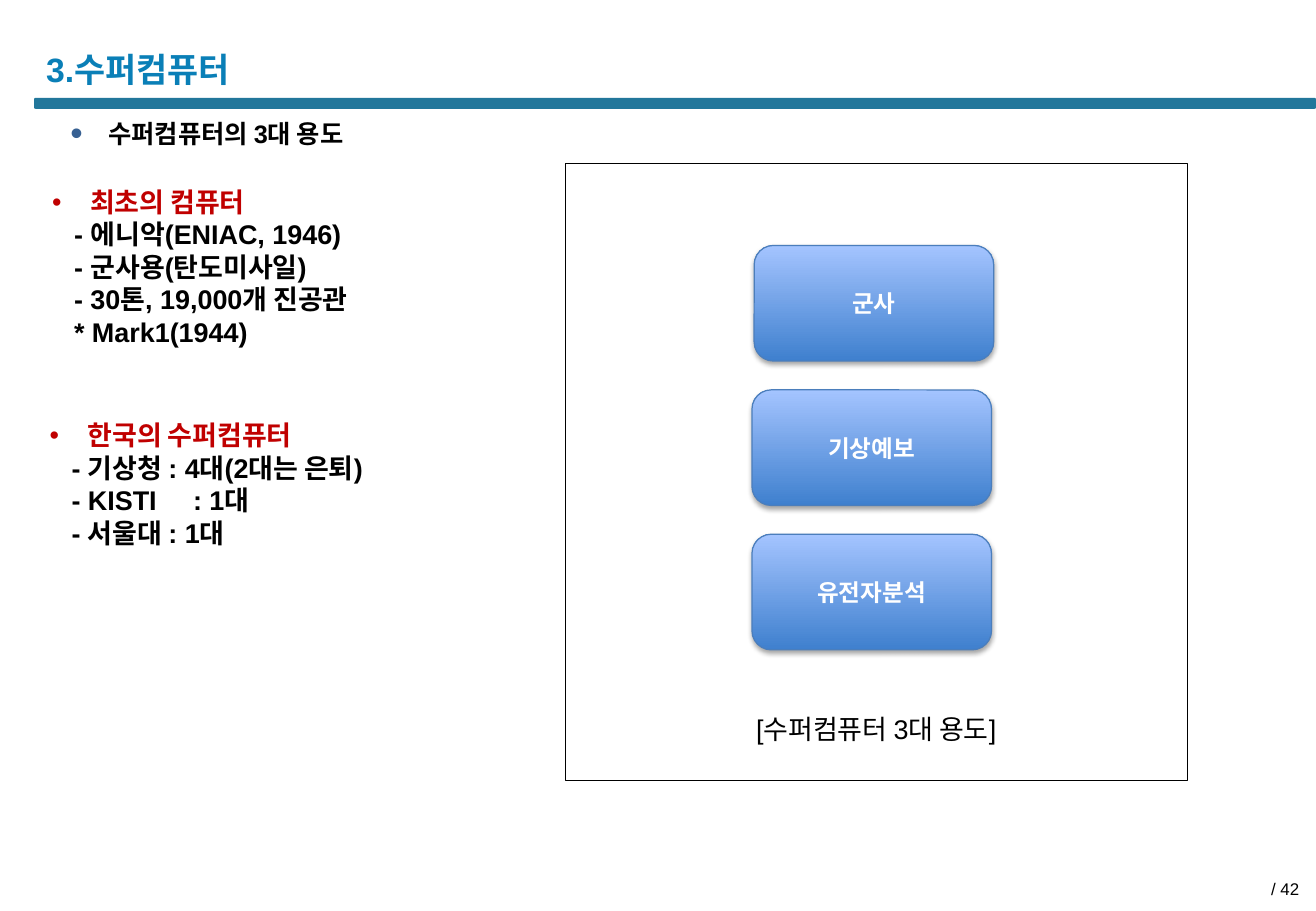
from dataclasses import dataclass

from lxml.etree import SubElement
from pptx import Presentation
from pptx.dml.color import RGBColor
from pptx.enum.shapes import MSO_SHAPE
from pptx.enum.text import MSO_ANCHOR, PP_ALIGN
from pptx.oxml.ns import qn
from pptx.util import Pt

FONT = "Arial"
BLACK, WHITE, RED = "000000", "FFFFFF", "C00000"
HANGING = 22.5
DETAIL_INDENT = 13
COLON_TAB = 77


@dataclass
class Area:
    left: float
    top: float
    width: float
    height: float

    def lengths(self) -> list:
        return [Pt(n) for n in (self.left, self.top, self.width, self.height)]


@dataclass
class Style:
    size: float
    color: str = BLACK
    bold: bool = False
    align: PP_ALIGN = PP_ALIGN.LEFT


@dataclass
class Topic:
    area: Area
    heading: str
    details: list[str]


@dataclass
class Use:
    name: str
    left: float


def rgb(color: str) -> RGBColor:
    return RGBColor.from_string(color)


def write(para, text: str, style: Style) -> None:
    para.alignment = style.align
    span = para.add_run()
    span.text = text
    span.font.name = FONT
    span.font.size = Pt(style.size)
    span.font.bold = style.bold
    span.font.color.rgb = rgb(style.color)


def set_frame(shape, anchor: MSO_ANCHOR, sides: float = 7.2, ends: float = 0):
    frame = shape.text_frame
    frame.word_wrap = True
    frame.vertical_anchor = anchor
    frame.margin_left = frame.margin_right = Pt(sides)
    frame.margin_top = frame.margin_bottom = Pt(ends)
    return frame


def add_text_box(page, area: Area, anchor=MSO_ANCHOR.TOP, sides=7.2, ends=3.6):
    return set_frame(page.shapes.add_textbox(*area.lengths()), anchor, sides, ends)


def add_plain_shape(page, kind: MSO_SHAPE, area: Area):
    shape = page.shapes.add_shape(kind, *area.lengths())
    shape.shadow.inherit = False
    return shape


def add_bullet(para, color: str, percent: int = 100) -> None:
    props = para._p.get_or_add_pPr()
    props.set("marL", str(Pt(HANGING)))
    props.set("indent", str(-Pt(HANGING)))
    SubElement(SubElement(props, qn("a:buClr")), qn("a:srgbClr"), val=color)
    SubElement(props, qn("a:buSzPct"), val=str(percent * 1000))
    SubElement(props, qn("a:buFont"), typeface=FONT)
    SubElement(props, qn("a:buChar"), char="•")


def indent_detail(para) -> None:
    props = para._p.get_or_add_pPr()
    props.set("marL", str(Pt(DETAIL_INDENT)))
    props.set("indent", "0")
    tabs = SubElement(props, qn("a:tabLst"))
    SubElement(tabs, qn("a:tab"), pos=str(Pt(COLON_TAB)), algn="l")


def add_topic(page, topic: Topic) -> None:
    frame = add_text_box(page, topic.area)
    para = frame.paragraphs[0]
    add_bullet(para, RED)
    write(para, topic.heading, Style(16, RED, True))
    for detail in topic.details:
        para = frame.add_paragraph()
        indent_detail(para)
        write(para, detail, Style(16, bold=True))


def add_soft_shadow(shape) -> None:
    effects = shape._element.spPr.find(qn("a:effectLst"))
    shadow = SubElement(effects, qn("a:outerShdw"), blurRad=str(Pt(3.1)),
                        dist=str(Pt(1.8)), dir="5400000", rotWithShape="0")
    color = SubElement(shadow, qn("a:srgbClr"), val=BLACK)
    SubElement(color, qn("a:alpha"), val="35000")


def add_use_card(page, use: Use, top: float) -> None:
    card = add_plain_shape(page, MSO_SHAPE.ROUNDED_RECTANGLE,
                           Area(use.left, top, 142, 68.5))
    card.fill.gradient()
    card.fill.gradient_angle = 90
    for stop, color in zip(card.fill.gradient_stops, ("3F80CE", "A4C4FF")):
        stop.color.rgb = rgb(color)
    card.line.color.rgb = rgb("4B7EBC")
    card.line.width = Pt(0.75)
    add_soft_shadow(card)
    frame = set_frame(card, MSO_ANCHOR.MIDDLE)
    write(frame.paragraphs[0], use.name, Style(14, WHITE, True, PP_ALIGN.CENTER))


TOPICS = [
    Topic(Area(23.8, 106.5, 749, 121), "최초의 컴퓨터",
          ["- 에니악(ENIAC, 1946)", "- 군사용(탄도미사일)",
           "- 30톤, 19,000개 진공관", "* Mark1(1944)"]),
    Topic(Area(22.3, 244.8, 749, 85), "한국의 수퍼컴퓨터",
          ["- 기상청 : 4대(2대는 은퇴)", "- KISTI\t: 1대", "- 서울대 : 1대"]),
]
USES = [Use("군사", 447), Use("기상예보", 445.7), Use("유전자분석", 445.7)]
FIRST_CARD_TOP, CARD_PITCH = 145.5, 85.6


def main() -> None:
    deck = Presentation()
    deck.slide_width, deck.slide_height = Pt(780), Pt(540)
    page = deck.slides.add_slide(deck.slide_layouts[6])

    # Title and rule
    rule = add_plain_shape(page, MSO_SHAPE.ROUNDED_RECTANGLE,
                           Area(20.2, 58, 759.8, 6.5))
    rule.adjustments[0] = 0.13
    rule.fill.solid()
    rule.fill.fore_color.rgb = rgb("22779B")
    rule.line.fill.background()
    title = add_text_box(page, Area(20.2, 23.8, 462, 33.8), MSO_ANCHOR.MIDDLE)
    write(title.paragraphs[0], "3.수퍼컴퓨터", Style(20, "0A7FB7", True))

    # Page count
    count = add_text_box(page, Area(598, 517.5, 182, 16.5), sides=10)
    write(count.paragraphs[0], "/ 42", Style(10, align=PP_ALIGN.RIGHT))

    # Subject line
    subject = add_text_box(page, Area(41.8, 69.8, 513, 18), sides=0, ends=0)
    add_bullet(subject.paragraphs[0], "376092", 140)
    write(subject.paragraphs[0], "수퍼컴퓨터의 3대 용도", Style(15, bold=True))

    # Topics on the left
    for topic in TOPICS:
        add_topic(page, topic)

    # Cards for the three uses
    for index, use in enumerate(USES):
        add_use_card(page, use, FIRST_CARD_TOP + index * CARD_PITCH)

    # Outline with caption
    outline = add_plain_shape(page, MSO_SHAPE.RECTANGLE, Area(335, 97, 368.7, 365.7))
    outline.fill.background()
    outline.line.color.rgb = rgb(BLACK)
    outline.line.width = Pt(0.5)
    caption = set_frame(outline, MSO_ANCHOR.BOTTOM)
    caption.margin_bottom = Pt(21)
    write(caption.paragraphs[0], "[수퍼컴퓨터 3대 용도]",
          Style(16, align=PP_ALIGN.CENTER))

    deck.save("out.pptx")


if __name__ == "__main__":
    main()
